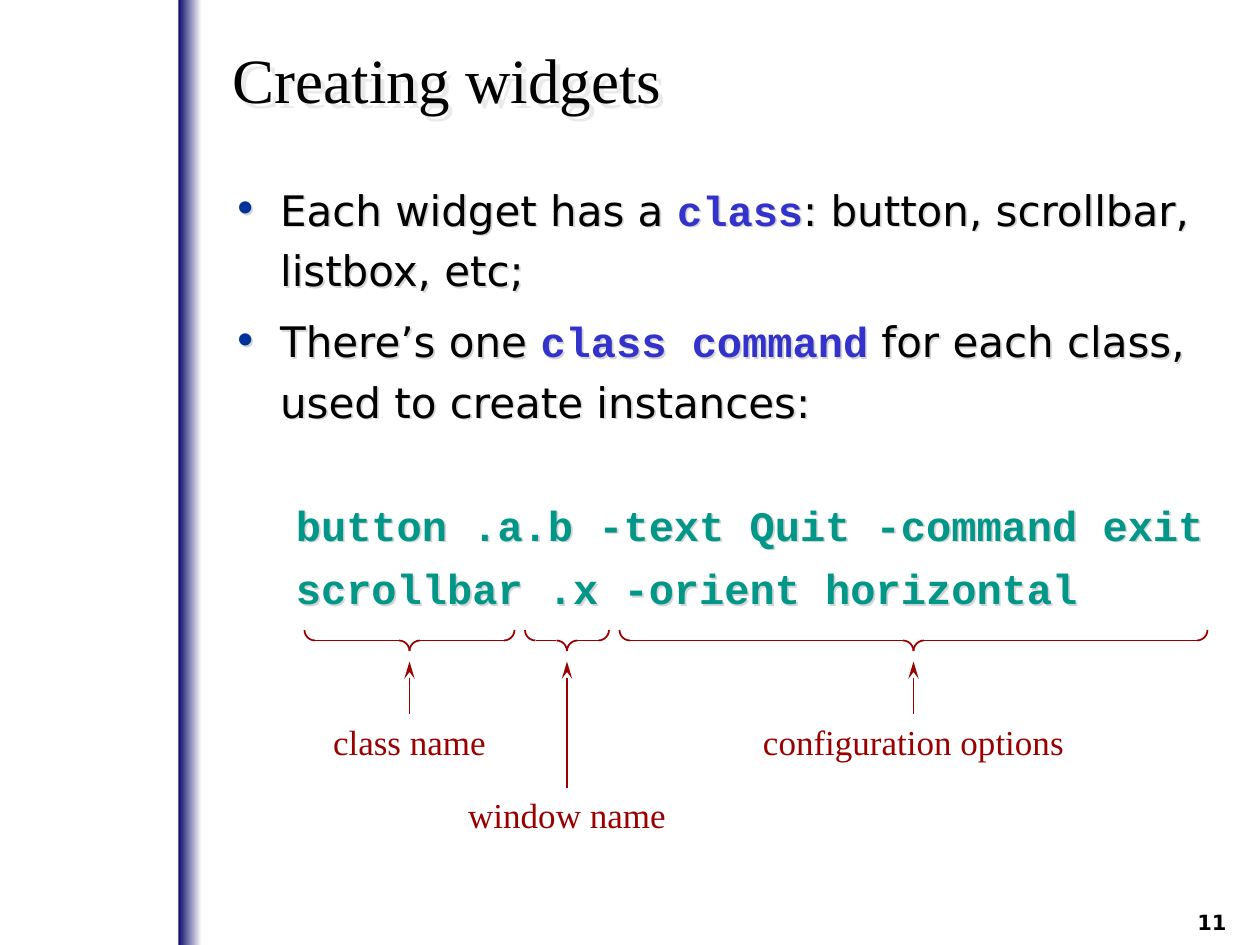
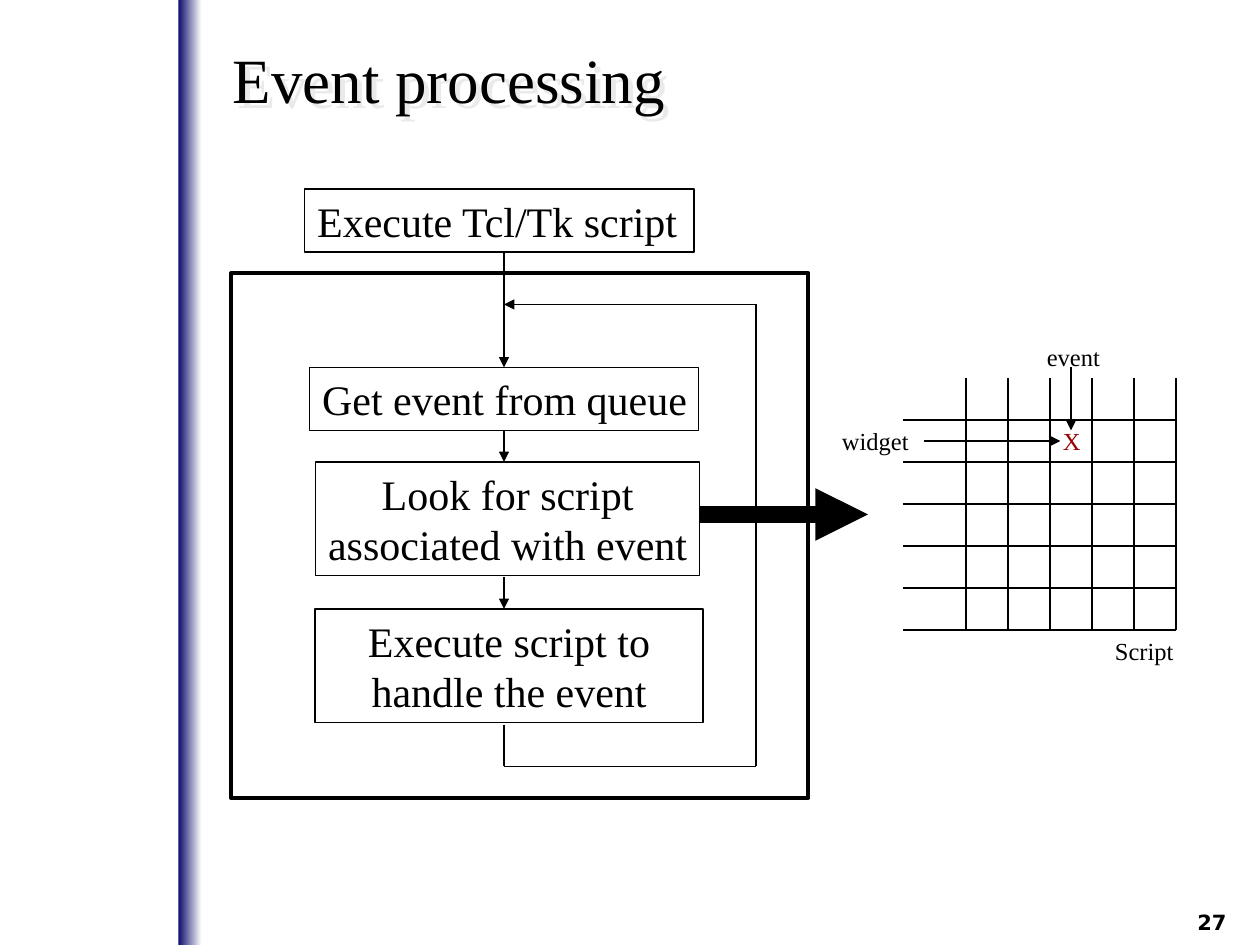
from lxml import etree
from pptx import Presentation
from pptx.dml.color import RGBColor
from pptx.enum.shapes import MSO_CONNECTOR, MSO_SHAPE
from pptx.enum.text import MSO_ANCHOR, PP_ALIGN
from pptx.oxml.ns import qn
from pptx.util import Pt

LEFT, CENTER, RIGHT = PP_ALIGN.LEFT, PP_ALIGN.CENTER, PP_ALIGN.RIGHT
TOP, MIDDLE = MSO_ANCHOR.TOP, MSO_ANCHOR.MIDDLE
STRAIGHT = MSO_CONNECTOR.STRAIGHT
RECTANGLE, ARC = MSO_SHAPE.RECTANGLE, MSO_SHAPE.ARC
SIDE_TOP, SIDE_BOTTOM = 0, 2

BLACK, RED, KEYWORD, CODE_GREEN = "000000", "990000", "3333CC", "009688"
BULLET_BLUE, BAND_DARK, BAND_LIGHT = "003399", "0D0D6E", "FBFBFB"
TITLE_SHADOW, BODY_SHADOW = "EAEAEA", "D4D4D4"
SERIF, SANS, MONO = "Times New Roman", "DejaVu Sans", "Courier New"

# Creating widgets: bullets as (text, is keyword) runs
BULLETS = [
    [("Each widget has a ", False), ("class", True),
     (": button, scrollbar, listbox, etc;", False)],
    [("There’s one ", False), ("class command", True),
     (" for each class, used to create instances:", False)],
]
# code line, space before
CODE_LINES = [
    ("button .a.b -text Quit -command exit", 41.4),
    ("scrollbar .x -orient horizontal", 7.5),
]
# label, label width, label top, brace left, brace right
CODE_PARTS = [
    ("class name", 108, 408, 174, 294),
    ("window name", 132, 450, 300, 348),
    ("configuration options", 192, 408, 354, 690),
]
BRACE_Y, BRACE_RADIUS, ARROW_TIP = 366, 6, 378

# Event processing: lines of text, box, alignment
STEPS = [
    (["Execute Tcl/Tk script"], (174.2, 108, 222.5, 36), LEFT),
    (["Get event from queue"], (177, 210, 222, 36), LEFT),
    (["Look for script", "associated with event"], (180.3, 264, 219.6, 64.8), CENTER),
    (["Execute script to", "handle the event"], (180, 348, 221.8, 64.8), CENTER),
]
FLOW_X = 288
LOOP = [(FLOW_X, 414), (FLOW_X, 438), (432, 438), (432, 174), (FLOW_X, 174)]
LOOP_FRAME = (132, 156, 330, 300)
TABLE_LEFT, TABLE_TOP, TABLE_RIGHT, TABLE_BOTTOM = 516, 216, 672, 360
CELL, LINE_COUNT = 24, 6
# text, box, colour
TABLE_LABELS = [
    ("widget", (474, 240, 53, 24.5), BLACK),
    ("event", (591.1, 192, 45, 24.5), BLACK),
    ("Script", (630, 360, 48.5, 24.5), BLACK),
    ("X", (600.3, 240, 24.5, 24.5), RED),
]
TABLE_POINTERS = [((528, 252), (606, 252)), ((612, 210), (612, 246))]


def rgb(hex_color):
    return RGBColor.from_string(hex_color)


def points(values):
    return [Pt(value) for value in values]


def add_run(paragraph, text, size, font, color=BLACK, bold=False):
    run = paragraph.add_run()
    run.text = text
    run.font.size = Pt(size)
    run.font.name = font
    run.font.bold = bold
    run.font.color.rgb = rgb(color)


def add_lines(frame, lines, size, font, color=BLACK, align=LEFT, bold=False):
    """Fill a text frame with one paragraph per line."""
    for index, line in enumerate(lines):
        paragraph = frame.add_paragraph() if index else frame.paragraphs[0]
        paragraph.alignment = align
        add_run(paragraph, line, size, font, color, bold)


def add_box(slide, place, wrap=True, anchor=TOP):
    box = slide.shapes.add_textbox(*points(place))
    box.text_frame.word_wrap = wrap
    box.text_frame.vertical_anchor = anchor
    return box


def cast_text_shadow(box, color, distance):
    """Give an unfilled text box a shadow to the lower right."""
    effects = etree.SubElement(box._element.spPr, qn("a:effectLst"))
    shadow = etree.SubElement(effects, qn("a:outerShdw"), dist=str(Pt(distance)),
                              dir="2700000", algn="ctr", rotWithShape="0")
    etree.SubElement(shadow, qn("a:srgbClr"), val=color)


def add_outline(slide, kind, place, color=BLACK, width=0.75):
    shape = slide.shapes.add_shape(kind, *points(place))
    shape.shadow.inherit = False
    shape.fill.background()
    shape.line.color.rgb = rgb(color)
    shape.line.width = Pt(width)
    return shape


def add_line(slide, start, end, color=BLACK, width=0.75, head=None, head_length="med"):
    line = slide.shapes.add_connector(STRAIGHT, *points(start + end))
    line.line.color.rgb = rgb(color)
    line.line.width = Pt(width)
    if head:
        etree.SubElement(line.line._get_or_add_ln(), qn("a:tailEnd"),
                         type=head, len=head_length)
    etree.SubElement(line._element.spPr, qn("a:effectLst"))
    return line


def add_brace(slide, left, right):
    """Draw a flat brace, tip down, from four quarter arcs and two lines."""
    middle, radius = (left + right) / 2, BRACE_RADIUS
    high, low = BRACE_Y - 2 * radius, BRACE_Y
    quarters = [(left, high, 90), (right - 2 * radius, high, 0),
                (middle - 2 * radius, low, 270), (middle, low, 180)]
    for x, y, start_angle in quarters:
        arc = add_outline(slide, ARC, (x, y, 2 * radius, 2 * radius), RED, 1)
        # angles count 60000 to the degree, adjustments 100000 to the unit
        arc.adjustments[0] = start_angle * 0.6
        arc.adjustments[1] = (start_angle + 90) % 360 * 0.6
    for start, end in ((left, middle), (middle, right)):
        add_line(slide, (start + radius, BRACE_Y), (end - radius, BRACE_Y), RED, 1)


def start_slide(deck, title, number):
    """Add a slide with the side band, title and page number."""
    slide = deck.slides.add_slide(deck.slide_layouts[6])
    band = slide.shapes.add_shape(RECTANGLE, *points((102, 0, 13, 540)))
    band.shadow.inherit = False
    band.line.fill.background()
    band.fill.gradient()
    band.fill.gradient_angle = 0
    for stop, color in zip(band.fill.gradient_stops, (BAND_DARK, BAND_LIGHT)):
        stop.color.rgb = rgb(color)

    heading = add_box(slide, (126, 12, 576, 66), anchor=MIDDLE)
    add_lines(heading.text_frame, [title], 36, SERIF)
    cast_text_shadow(heading, TITLE_SHADOW, 4)
    page = add_box(slide, (642, 516, 66, 18))
    add_lines(page.text_frame, [number], 12, SANS, align=RIGHT, bold=True)
    return slide


def set_bullet(paragraph):
    properties = paragraph._p.get_or_add_pPr()
    properties.set("marL", str(Pt(27)))
    properties.set("indent", str(Pt(-27)))
    color = etree.SubElement(properties, qn("a:buClr"))
    etree.SubElement(color, qn("a:srgbClr"), val=BULLET_BLUE)
    etree.SubElement(properties, qn("a:buFont"), typeface=SANS)
    etree.SubElement(properties, qn("a:buChar"), char="•")


def build_widgets_slide(deck):
    slide = start_slide(deck, "Creating widgets", "11")
    body = add_box(slide, (126, 96, 576, 414))
    for index, runs in enumerate(BULLETS):
        paragraph = body.text_frame.add_paragraph() if index else body.text_frame.paragraphs[0]
        set_bullet(paragraph)
        paragraph.line_spacing = 1.2
        if index:
            paragraph.space_before = Pt(6)
        for text, is_keyword in runs:
            style = (MONO, KEYWORD, True) if is_keyword else (SANS, BLACK, False)
            add_run(paragraph, text, 24, *style)
    for code, gap in CODE_LINES:
        paragraph = body.text_frame.add_paragraph()
        paragraph._p.get_or_add_pPr().set("marL", str(Pt(36)))
        paragraph.space_before = Pt(gap)
        add_run(paragraph, code, 24, MONO, CODE_GREEN, True)
    cast_text_shadow(body, BODY_SHADOW, 1.4)

    for name, width, top, left, right in CODE_PARTS:
        middle = (left + right) / 2
        add_brace(slide, left, right)
        label = add_box(slide, (middle - width / 2, top, width, 31))
        add_lines(label.text_frame, [name], 20, SERIF, RED, CENTER)
        arrow = add_line(slide, (middle, top), (middle, ARROW_TIP), RED, 1, "stealth", "lg")
        arrow.begin_connect(label, SIDE_TOP)


def build_events_slide(deck):
    slide = start_slide(deck, "Event processing", "27")
    boxes = []
    for lines, place, align in STEPS:
        box = add_outline(slide, RECTANGLE, place)
        box.text_frame.word_wrap = False
        box.text_frame.vertical_anchor = TOP
        add_lines(box.text_frame, lines, 24, SERIF, align=align)
        boxes.append(box)

    arrows = [add_line(slide, (FLOW_X, start), (FLOW_X, end), head="triangle")
              for start, end in ((144, 210), (246, 264), (330, 348))]
    arrows[0].end_connect(boxes[1], SIDE_TOP)
    arrows[1].begin_connect(boxes[1], SIDE_BOTTOM)
    for start, end in zip(LOOP, LOOP[1:]):
        add_line(slide, start, end, head="triangle" if end == LOOP[-1] else None)
    add_outline(slide, RECTANGLE, LOOP_FRAME, width=2.25)
    add_line(slide, (399.6, 294), (496, 294), width=10, head="triangle")

    for index in range(LINE_COUNT):
        x, y = TABLE_RIGHT - index * CELL, TABLE_BOTTOM - index * CELL
        add_line(slide, (TABLE_LEFT, y), (TABLE_RIGHT, y))
        add_line(slide, (x, TABLE_BOTTOM), (x, TABLE_TOP))
    for text, place, color in TABLE_LABELS:
        label = add_box(slide, place, wrap=False)
        add_lines(label.text_frame, [text], 14, SERIF, color)
    for start, end in TABLE_POINTERS:
        add_line(slide, start, end, head="triangle")


def main():
    deck = Presentation()
    deck.slide_width, deck.slide_height = Pt(720), Pt(540)
    build_widgets_slide(deck)
    build_events_slide(deck)
    deck.save("out.pptx")


if __name__ == "__main__":
    main()
